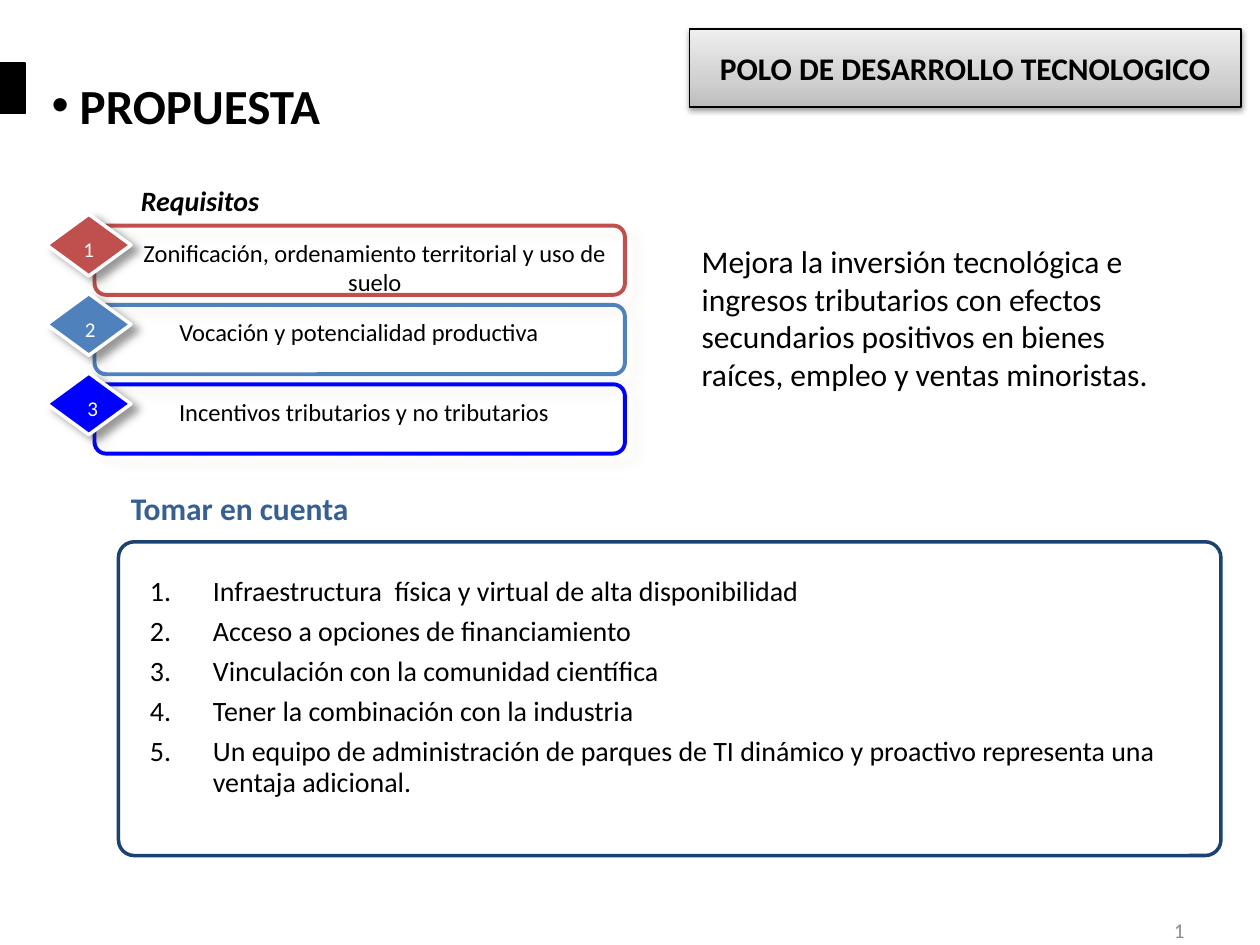
from lxml.etree import SubElement
from pptx import Presentation
from pptx.dml.color import RGBColor
from pptx.enum.shapes import MSO_SHAPE
from pptx.enum.text import MSO_ANCHOR, MSO_AUTO_SIZE, PP_ALIGN
from pptx.oxml.ns import qn
from pptx.util import Inches, Pt

FONT = "Calibri"
BLACK, WHITE = "000000", "FFFFFF"
REQUIREMENTS = [
    ("C0504D", "Zonificación, ordenamiento territorial y uso de suelo", 0.97, 4.01, 0.56),
    ("4F81BD", "Vocación y potencialidad productiva", 0.97, 3.76, 0.57),
    ("0000FF", "Incentivos tributarios y no tributarios", 1.08, 3.62, 0.59),
]
CONSIDERATIONS = [
    "Infraestructura  física y virtual de alta disponibilidad",
    "Acceso a opciones de financiamiento",
    "Vinculación con la comunidad científica",
    "Tener la combinación con la industria",
    "Un equipo de administración de parques de TI dinámico y proactivo "
    "representa una ventaja adicional.",
]


def rgb(value):
    return RGBColor.from_string(value)


def place(sp, box):
    sp.left, sp.top, sp.width, sp.height = [Inches(v) for v in box]


def add_run(p, text, size, color=BLACK, bold=False, italic=False):
    r = p.add_run()
    r.text = text
    f = r.font
    f.name, f.size, f.bold, f.italic = FONT, Pt(size), bold, italic
    f.color.rgb = rgb(color)


def set_frame(sp, wrap=True, anchor=MSO_ANCHOR.TOP, auto=MSO_AUTO_SIZE.SHAPE_TO_FIT_TEXT):
    tf = sp.text_frame
    tf.word_wrap, tf.vertical_anchor, tf.auto_size = wrap, anchor, auto
    return tf


def set_bullet(p, tag, indent=0, **attrs):
    pPr = p._p.get_or_add_pPr()
    pPr.set("marL", str(Inches(indent)))
    pPr.set("indent", str(-Inches(indent)))
    SubElement(pPr, qn("a:buFont"), typeface="Arial" if tag == "a:buChar" else "+mj-lt")
    SubElement(pPr, qn(tag), **attrs)


def add_text(shapes, box, text, size, color=BLACK, align=PP_ALIGN.LEFT, wrap=True, **style):
    sp = shapes.add_textbox(*[Inches(v) for v in box])
    p = set_frame(sp, wrap).paragraphs[0]
    p.alignment = align
    add_run(p, text, size, color, **style)


def add_color(parent, color, alpha=None):
    clr = SubElement(parent, qn("a:srgbClr"), val=color)
    if alpha is not None:
        SubElement(clr, qn("a:alpha"), val=str(alpha * 1000))


def set_shadow(sp, color, alpha, blur, dist, angle):
    effects = sp._element.spPr.find(qn("a:effectLst"))
    shadow = SubElement(effects, qn("a:outerShdw"), blurRad=str(Pt(blur)), dist=str(Pt(dist)),
                        dir=str(angle * 60000), algn="ctr", rotWithShape="0")
    add_color(shadow, color, alpha)


def add_box(shapes, kind, box, fill, line, width, shadow=None, corner=None):
    sp = shapes.add_shape(kind, *[Inches(v) for v in box])
    if corner is not None:
        sp.adjustments[0] = corner
    if fill:
        sp.fill.solid()
        sp.fill.fore_color.rgb = rgb(fill)
    else:
        sp.fill.background()
    sp.line.color.rgb = rgb(line)
    sp.line.width = Pt(width)
    sp.shadow.inherit = False
    if shadow:
        set_shadow(sp, *shadow)
    return sp


def set_gradient(sp, stops):
    sp.fill.gradient()
    sp.fill.gradient_angle = 90
    gs_list = sp._element.spPr.find(qn("a:gradFill")).find(qn("a:gsLst"))
    for gs in list(gs_list):
        gs_list.remove(gs)
    for pos, color in stops:
        add_color(SubElement(gs_list, qn("a:gs"), pos=str(pos * 1000)), color)


def add_title(s):
    sp = s.shapes.title
    place(sp, (0.31, 0.55, 2.41, 0.57))
    p = set_frame(sp, wrap=False).paragraphs[0]
    p.alignment = PP_ALIGN.LEFT
    set_bullet(p, "a:buChar", char="•")
    add_run(p, " PROPUESTA", 28, bold=True)


def add_banner(s):
    sp = add_box(s.shapes, MSO_SHAPE.RECTANGLE, (5.47, 0.23, 4.38, 0.62), WHITE, BLACK, 0.75,
                 (BLACK, 38, 3.1, 1.6, 90))
    set_gradient(sp, [(0, "BDBDBD"), (35, "D1D1D1"), (100, "EEEEEE")])
    p = set_frame(sp, anchor=MSO_ANCHOR.MIDDLE, auto=MSO_AUTO_SIZE.NONE).paragraphs[0]
    p.alignment = PP_ALIGN.CENTER
    add_run(p, "POLO DE DESARROLLO TECNOLOGICO", 18, bold=True)


def add_requirement(s, number, color, text, left, width, number_left):
    top = 1.79 + 0.63 * (number - 1)
    shapes = s.shapes.add_group_shape().shapes
    add_box(shapes, MSO_SHAPE.ROUNDED_RECTANGLE, (0.75, top, 4.21, 0.55), None, color, 2.25,
            ("EEECE1", 50, 5, 7.8, 40), 0.167)
    add_box(shapes, MSO_SHAPE.DIAMOND, (0.37, top - 0.09, 0.67, 0.49), color, WHITE, 2,
            ("333333", 50, 5, 5, 37))
    add_text(shapes, (left, top + 0.05, width, 0.34), text, 14, align=PP_ALIGN.CENTER)
    add_text(shapes, (number_left, top + 0.04, 0.29, 0.3), str(number), 12, WHITE,
             PP_ALIGN.CENTER, wrap=False)


def add_considerations(s):
    add_box(s.shapes, MSO_SHAPE.ROUNDED_RECTANGLE, (0.94, 4.3, 8.75, 2.49), WHITE, "1C4271", 2,
            corner=0.05)
    body = s.placeholders[1]
    body._element.getparent().append(body._element)
    place(body, (1.09, 4.53, 8.59, 1.93))
    tf = set_frame(body)
    for i, text in enumerate(CONSIDERATIONS):
        p = tf.add_paragraph() if i else tf.paragraphs[0]
        set_bullet(p, "a:buAutoNum", 0.5, type="arabicPeriod")
        p.line_spacing = 0.9
        p.space_before, p.space_after = Pt(0), Pt(5.7)
        add_run(p, text, 16)


def add_page_number(s):
    sp = s.shapes.add_textbox(*[Inches(v) for v in (7.17, 7.18, 2.33, 0.4)])
    p = set_frame(sp, anchor=MSO_ANCHOR.MIDDLE, auto=MSO_AUTO_SIZE.NONE).paragraphs[0]
    p.alignment = PP_ALIGN.RIGHT
    add_run(p, "1", 12, "8C8C8C")


def main():
    prs = Presentation()
    prs.slide_width, prs.slide_height = Inches(10), Inches(7.5)
    s = prs.slides.add_slide(prs.slide_layouts[1])
    add_title(s)
    add_box(s.shapes, MSO_SHAPE.RECTANGLE, (0, 0.5, 0.2, 0.4), BLACK, BLACK, 0.75)
    add_banner(s)
    add_considerations(s)
    for number, requirement in enumerate(REQUIREMENTS, 1):
        add_requirement(s, number, *requirement)
    add_text(s.shapes, (1.02, 1.41, 1.23, 0.37), "Requisitos", 16, bold=True, italic=True)
    add_text(s.shapes, (0.94, 3.83, 1.94, 0.4), "Tomar en cuenta", 18, "376092", wrap=False,
             bold=True)
    add_page_number(s)
    add_text(s.shapes, (5.47, 1.87, 3.91, 1.31),
             "Mejora la inversión tecnológica e ingresos tributarios con efectos secundarios "
             "positivos en bienes raíces, empleo y ventas minoristas.", 18)
    prs.save("out.pptx")


if __name__ == "__main__":
    main()
